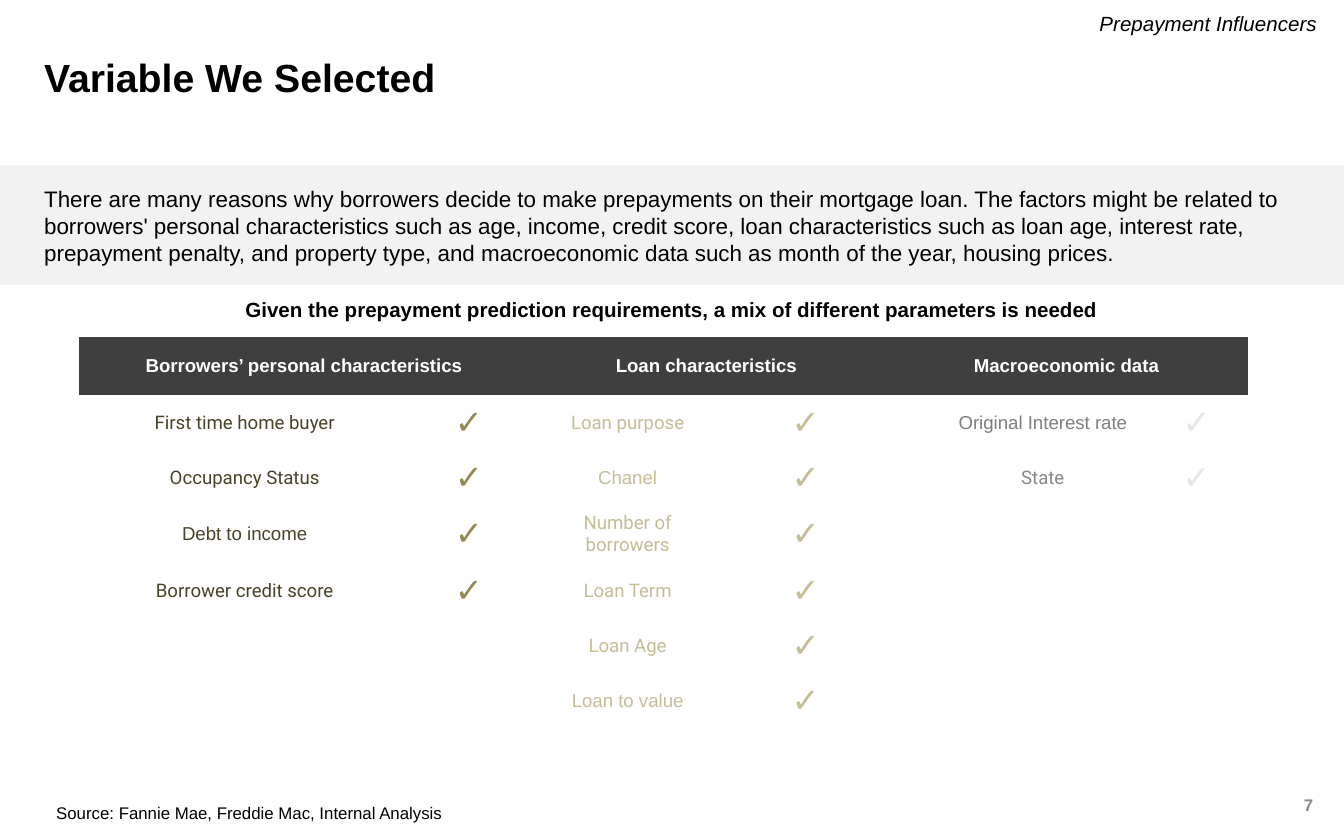
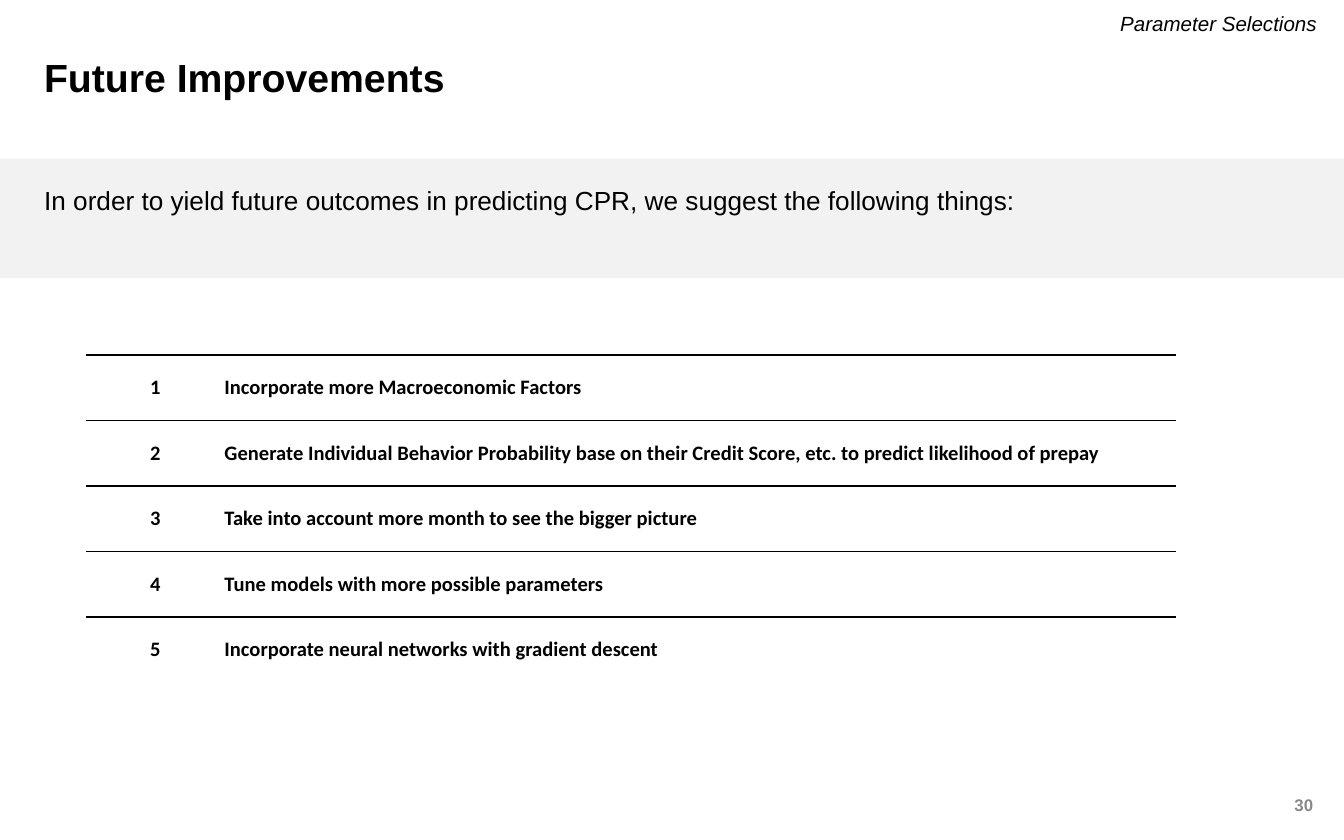
from dataclasses import dataclass
from itertools import product

from lxml.etree import SubElement
from pptx import Presentation
from pptx.dml.color import RGBColor
from pptx.enum.shapes import MSO_SHAPE as Preset
from pptx.enum.text import MSO_ANCHOR as Anchor, PP_ALIGN as Align
from pptx.oxml.ns import qn
from pptx.util import Inches, Pt


@dataclass(frozen=True)
class Theme:
    ink: str = "000000"
    paper: str = "FFFFFF"
    band: str = "F2F2F2"
    header: str = "3F3F3F"
    page: str = "888888"
    borrower: str = "494429"
    borrower_check: str = "938953"
    loan: str = "C4BD97"
    macro: str = "7F7F7F"
    macro_check: str = "E7E6E6"
    sans: str = "Arial"
    label: str = "Roboto"
    numbered: str = "Calibri"
    title_size: float = 21
    check_size: float = 18
    lead_size: float = 14
    intro_size: float = 12
    text_size: float = 11
    cell_size: float = 10
    note_size: float = 9


THEME = Theme()
PLAIN_TABLE = "{2D5ABB26-0587-4C30-8999-92F81FD0307C}"
NORMAL_INSETS = (0.1, 0.05, 0.1, 0.05)
NO_INSETS = (0, 0, 0, 0)


@dataclass(frozen=True)
class Box:
    left: float
    top: float
    width: float
    height: float

    def inner(self, left, top, width, height):
        """Return a box inside this one, given in percent of its size."""
        return Box(self.left + self.width * left / 100,
                   self.top + self.height * top / 100,
                   self.width * width / 100, self.height * height / 100)

    def emu(self):
        return [Inches(v) for v in (self.left, self.top, self.width, self.height)]


SLIDE = Box(0, 0, 10, 6.25)


@dataclass(frozen=True)
class Style:
    size: float
    color: str = THEME.ink
    font: str = THEME.sans
    bold: bool = False
    italic: bool = False


@dataclass(frozen=True)
class Item:
    text: str
    font: str = THEME.label
    color: str = None


@dataclass(frozen=True)
class Group:
    """One heading with its items; columns are counted from zero."""
    heading: str
    first: int
    last: int
    label_col: int
    color: str
    check_color: str
    items: tuple


GROUPS = (
    Group("Borrowers’ personal characteristics", 1, 2, 1,
          THEME.borrower, THEME.borrower_check,
          (Item("First time home buyer"), Item("Occupancy Status"),
           Item("Debt to income", THEME.sans), Item("Borrower credit score"))),
    Group("Loan characteristics", 3, 4, 3, THEME.loan, THEME.loan,
          (Item("Loan purpose"), Item("Chanel", THEME.sans),
           Item("Number of borrowers"), Item("Loan Term"), Item("Loan Age"),
           Item("Loan to value", THEME.sans))),
    Group("Macroeconomic data", 5, 7, 6, THEME.macro, THEME.macro_check,
          (Item("Original Interest rate", THEME.sans),
           Item("State", color=THEME.page))),
)

IMPROVEMENTS = (
    "Incorporate more Macroeconomic Factors",
    "Generate Individual Behavior Probability base on their Credit Score, etc. "
    "to predict likelihood of prepay",
    "Take into account more month to see the bigger picture",
    "Tune models with more possible parameters",
    "Incorporate neural networks with gradient descent",
)


def rgb(color):
    return RGBColor.from_string(color)


def write(paragraph, text, style, align=Align.LEFT):
    paragraph.alignment = align
    run = paragraph.add_run()
    run.text = text
    font = run.font
    font.name, font.size = style.font, Pt(style.size)
    font.bold, font.italic = style.bold, style.italic
    font.color.rgb = rgb(style.color)


def set_insets(holder, insets):
    (holder.margin_left, holder.margin_top,
     holder.margin_right, holder.margin_bottom) = [Inches(v) for v in insets]


def add_text(slide, box, text, style, align=Align.LEFT, anchor=Anchor.TOP,
             insets=NORMAL_INSETS):
    frame = slide.shapes.add_textbox(*box.emu()).text_frame
    frame.word_wrap = True
    frame.vertical_anchor = anchor
    set_insets(frame, insets)
    paragraph = frame.paragraphs[0]
    write(paragraph, text, style, align)
    return paragraph


def fill_cell(cell, text, style, align=Align.CENTER, insets=NORMAL_INSETS):
    cell.vertical_anchor = Anchor.MIDDLE
    set_insets(cell, insets)
    write(cell.text_frame.paragraphs[0], text, style, align)


def rule_above(cell):
    """Draw a one point line along the top edge of a cell."""
    line = SubElement(cell._tc.get_or_add_tcPr(), qn("a:lnT"), w=str(Pt(1)))
    fill = SubElement(line, qn("a:solidFill"))
    SubElement(fill, qn("a:srgbClr"), val=THEME.ink)


def add_grid(slide, box, columns, rows):
    """Add an unstyled table whose columns and rows are relative weights."""
    table = slide.shapes.add_table(len(rows), len(columns), *box.emu()).table
    table.first_row = table.horz_banding = False
    table._tbl.tblPr.find(qn("a:tableStyleId")).text = PLAIN_TABLE
    for column, weight in zip(table.columns, columns):
        column.width = Inches(box.width * weight / sum(columns))
    for row, weight in zip(table.rows, rows):
        row.height = Inches(box.height * weight / sum(rows))
    return table


def add_frame(slide, box, title, section, page):
    """Add the title, the section name and the page number."""
    heading = add_text(slide, box.inner(2.3, 6.24, 95.4, 10.56), title,
                       Style(THEME.title_size, bold=True))
    heading.line_spacing = 0.9
    add_text(slide, box.inner(71, 0.16, 29, 5.28), section,
             Style(THEME.text_size, italic=True), Align.RIGHT, Anchor.MIDDLE,
             (0.1, 0.05, 0.2, 0.05))
    add_text(slide, box.inner(80.2, 94.08, 17.5, 3.52), page,
             Style(THEME.note_size, THEME.page, bold=True),
             Align.RIGHT, Anchor.MIDDLE, NO_INSETS)


def add_band(slide, box, text, size, text_top, text_height):
    band = slide.shapes.add_shape(Preset.RECTANGLE, *box.emu())
    band.shadow.inherit = False
    band.fill.solid()
    band.fill.fore_color.rgb = rgb(THEME.band)
    band.line.fill.background()
    add_text(slide, box.inner(2.3, text_top, 94.1, text_height), text, Style(size))


def add_variables(slide, box):
    columns = (59, 246, 88, 148, 117, 42, 152, 77)
    rows = (43,) + (41,) * max(len(group.items) for group in GROUPS)
    table = add_grid(slide, box, columns, rows)
    for row, col in product(range(len(rows)), range(len(columns))):
        in_header = row == 0 and col > 0
        fill = table.cell(row, col).fill
        fill.solid()
        fill.fore_color.rgb = rgb(THEME.header if in_header else THEME.paper)
    heading_style = Style(THEME.cell_size, THEME.paper, bold=True)
    for group in GROUPS:
        heading = table.cell(0, group.first)
        heading.merge(table.cell(0, group.last))
        fill_cell(heading, group.heading, heading_style)
        check_style = Style(THEME.check_size, group.check_color, THEME.label, True)
        for row, item in enumerate(group.items, start=1):
            fill_cell(table.cell(row, group.label_col), item.text,
                      Style(THEME.cell_size, item.color or group.color, item.font))
            fill_cell(table.cell(row, group.last), "✓", check_style)


def add_numbered_list(slide, box, entries):
    table = add_grid(slide, box, (103, 708), (1,) * len(entries))
    style = Style(THEME.text_size, font=THEME.numbered, bold=True)
    for row, entry in enumerate(entries):
        number, wording = table.cell(row, 0), table.cell(row, 1)
        fill_cell(number, str(row + 1), style, insets=NO_INSETS)
        fill_cell(wording, entry, style, Align.LEFT, NO_INSETS)
        rule_above(number)
        rule_above(wording)


def build_variables_slide(slide, box):
    add_frame(slide, box, "Variable We Selected", "Prepayment Influencers", "7")
    add_variables(slide, box.inner(0, 40.16, 92.9, 46.24))
    add_band(slide, box.inner(0, 19.68, 100, 14.24),
             "There are many reasons why borrowers decide to make prepayments on "
             "their mortgage loan. The factors might be related to borrowers' "
             "personal characteristics such as age, income, credit score, loan "
             "characteristics such as loan age, interest rate, prepayment penalty, "
             "and property type, and macroeconomic data such as month of the year, "
             "housing prices.", THEME.intro_size, 11, 80)
    add_text(slide, box.inner(9.2, 34.56, 81.6, 4.64),
             "Given the prepayment prediction requirements, a mix of different "
             "parameters is needed", Style(THEME.text_size, bold=True), Align.CENTER)
    add_text(slide, box.inner(3.2, 94.72, 73, 4),
             "Source: Fannie Mae, Freddie Mac, Internal Analysis",
             Style(THEME.note_size))


def build_improvements_slide(slide, box):
    add_frame(slide, box, "Future Improvements", "Parameter Selections", "30")
    add_band(slide, box.inner(0, 18.88, 100, 14.24),
             "In order to yield future outcomes in predicting CPR, we suggest the "
             "following things:", THEME.lead_size, 16, 38)
    add_numbered_list(slide, box.inner(6.4, 42.24, 81.1, 39.04), IMPROVEMENTS)


def main():
    deck = Presentation()
    deck.slide_width, deck.slide_height = Inches(SLIDE.width), Inches(SLIDE.height)
    blank = deck.slide_layouts[6]
    for build in (build_variables_slide, build_improvements_slide):
        build(deck.slides.add_slide(blank), SLIDE)
    deck.save("out.pptx")


if __name__ == "__main__":
    main()
